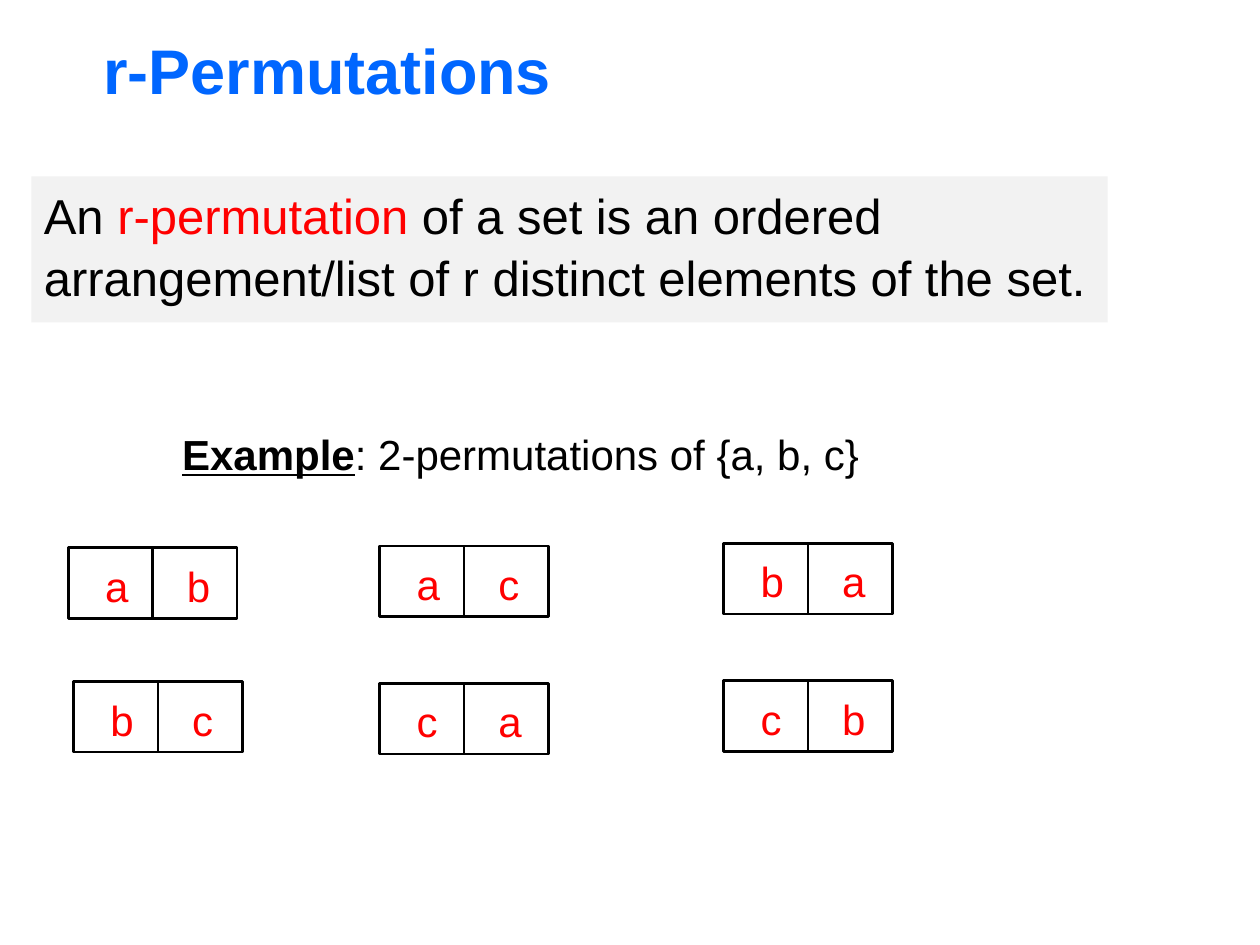
import pptx
import pptx.util
import pptx.dml.color
import pptx.enum.shapes
import pptx.enum.text
import pptx.oxml.ns
import lxml.etree

Pt = pptx.util.Pt
BLUE = pptx.dml.color.RGBColor(0x00, 0x66, 0xFF)
RED = pptx.dml.color.RGBColor(0xFF, 0x00, 0x00)
BLACK = pptx.dml.color.RGBColor(0x00, 0x00, 0x00)
GREY = pptx.dml.color.RGBColor(0xF2, 0xF2, 0xF2)
CELL_WIDTH, CELL_HEIGHT = 48.24, 40.32


class PermutationSlide:
    """Draws the parts of one slide in a shared style."""

    font = "Arial"

    def __init__(self, slide):
        self.slide = slide

    def box(self, left, top, width, height, fill=None, line=None):
        box = self.slide.shapes.add_shape(
            pptx.enum.shapes.MSO_SHAPE.RECTANGLE,
            Pt(left), Pt(top), Pt(width), Pt(height))
        box.shadow.inherit = False
        if fill is None:
            box.fill.background()
        else:
            box.fill.solid()
            box.fill.fore_color.rgb = fill
        if line is None:
            box.line.fill.background()
        else:
            box.line.color.rgb = line
            box.line.width = Pt(1.5)
        return box

    def label(self, left, top, width, height, pieces, size, wrap=False):
        label = self.slide.shapes.add_textbox(
            Pt(left), Pt(top), Pt(width), Pt(height))
        label.text_frame.word_wrap = wrap
        return self.add_words(label, pieces, size)

    def add_words(self, holder, pieces, size):
        paragraph = holder.text_frame.paragraphs[0]
        paragraph.alignment = pptx.enum.text.PP_ALIGN.LEFT
        for words, color, strong, underlined in pieces:
            run = paragraph.add_run()
            run.text = words
            run.font.name = self.font
            run.font.size = Pt(size)
            run.font.color.rgb = color
            run.font.bold = strong
            run.font.underline = underlined
        return holder

    def pair(self, left, top, first, second):
        for column in range(2):
            self.box(left + column * CELL_WIDTH, top,
                     CELL_WIDTH, CELL_HEIGHT, line=BLACK)
        letters = self.label(left + 14, top + 3.6, 95, 36,
                             [(f"{first}\t{second}", RED, False, False)], 24)
        properties = letters.text_frame.paragraphs[0]._p.get_or_add_pPr()
        stops = lxml.etree.SubElement(properties, pptx.oxml.ns.qn("a:tabLst"))
        lxml.etree.SubElement(stops, pptx.oxml.ns.qn("a:tab"),
                              pos=str(int(Pt(46.7))), algn="l")


deck = pptx.Presentation()
deck.slide_width, deck.slide_height = Pt(720), Pt(540)
page = PermutationSlide(deck.slides.add_slide(deck.slide_layouts[6]))

title = page.label(52, 15, 612, 49,
                   [("r-Permutations", BLUE, True, False)], 36, wrap=True)
title.text_frame.vertical_anchor = pptx.enum.text.MSO_ANCHOR.MIDDLE

definition = page.add_words(page.box(18, 100.8, 615, 83.5, fill=GREY), [
    ("An ", BLACK, False, False),
    ("r-permutation", RED, False, False),
    (" of a set is an ordered arrangement/list of r distinct elements "
     "of the set.", BLACK, False, False)], 28)
definition.text_frame.vertical_anchor = pptx.enum.text.MSO_ANCHOR.TOP
definition.text_frame.paragraphs[0].line_spacing = 1.05

page.label(97, 241.2, 412, 36, [
    ("Example", BLACK, True, True),
    (": 2-permutations of {a, b, c}", BLACK, False, False)], 24)

PAIRS = [(39, 313, "ab"), (217, 312, "ac"), (413.5, 310.5, "ba"),
         (42, 389.5, "bc"), (217, 390.5, "ca"), (413.5, 389, "cb")]
for left, top, (first, second) in PAIRS:
    page.pair(left, top, first, second)

deck.save("out.pptx")
